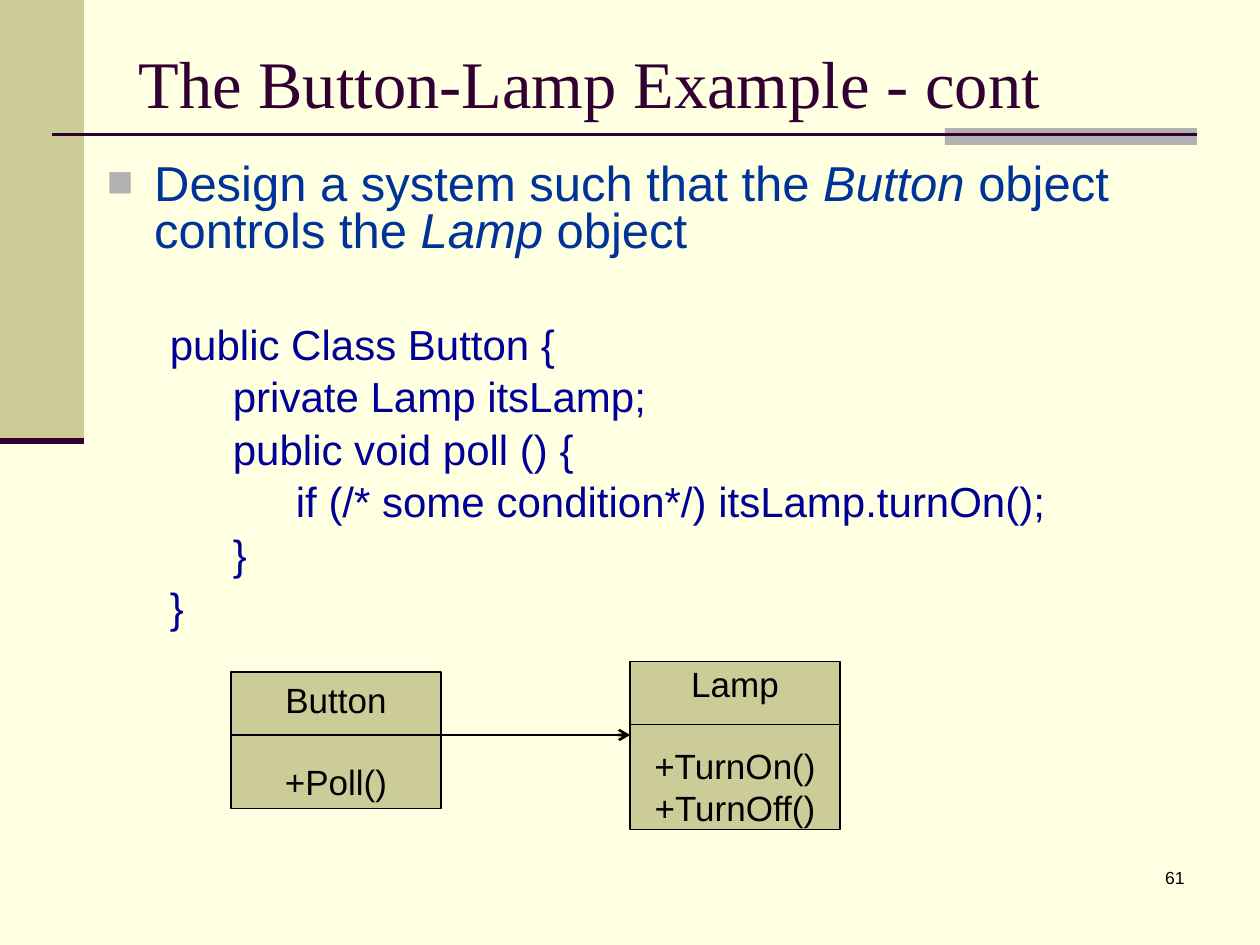
from lxml.etree import SubElement
from pptx import Presentation
from pptx.dml.color import RGBColor
from pptx.enum.shapes import MSO_CONNECTOR as Connector, MSO_SHAPE as Shape
from pptx.enum.text import MSO_ANCHOR as Anchor, PP_ALIGN as Align
from pptx.oxml.ns import qn
from pptx.util import Pt

CREAM = RGBColor(0xFF, 0xFF, 0xE1)
KHAKI = RGBColor(0xCC, 0xCC, 0x99)
GRAY = RGBColor(0xB2, 0xB2, 0xB2)
PLUM = RGBColor(0x33, 0x00, 0x33)
BLUE = RGBColor(0x00, 0x33, 0x99)
NAVY = RGBColor(0x00, 0x00, 0x99)
BLACK = RGBColor(0x00, 0x00, 0x00)

CODE = [
    (0, "public Class Button {"),
    (1, "private Lamp itsLamp;"),
    (1, "public void poll () {"),
    (2, "if (/* some condition*/) itsLamp.turnOn();"),
    (1, "}"),
    (0, "}"),
]
CODE_LEFT = 36
CODE_STEP = 36
CLASS_WIDTH = 120
ARROW_Y = 420


def write(para, text, size=20, color=BLACK, font="Arial", italic=False,
          align=Align.LEFT, before=0, spacing=1.0):
    para.alignment = align
    para.space_before = Pt(before)
    para.line_spacing = spacing
    span = para.add_run()
    span.text = text
    span.font.name = font
    span.font.size = Pt(size)
    span.font.italic = italic
    span.font.color.rgb = color


def indent(para, left, hanging=0):
    properties = para._p.get_or_add_pPr()
    properties.set("marL", str(Pt(left)))
    properties.set("indent", str(Pt(-hanging)))
    return properties


def add_bullet(para):
    properties = indent(para, 27, 27)
    color = SubElement(properties, qn("a:buClr"))
    SubElement(color, qn("a:srgbClr"), val=str(GRAY))
    SubElement(properties, qn("a:buSzPct"), val="90000")
    SubElement(properties, qn("a:buFont"), typeface="Arial")
    SubElement(properties, qn("a:buChar"), char="■")


def add_rectangle(page, left, top, width, height, fill, outline=None):
    box = page.shapes.add_shape(Shape.RECTANGLE, Pt(left), Pt(top), Pt(width), Pt(height))
    box.shadow.inherit = False
    box.fill.solid()
    box.fill.fore_color.rgb = fill
    if outline is None:
        box.line.fill.background()
    else:
        box.line.color.rgb = outline
        box.line.width = Pt(0.75)
    return box


def add_line(page, left, right, y, color=BLACK, width=0.75, arrow=False):
    line = page.shapes.add_connector(Connector.STRAIGHT, Pt(left), Pt(y), Pt(right), Pt(y))
    line.line.color.rgb = color
    line.line.width = Pt(width)
    if arrow:
        SubElement(line.line._get_or_add_ln(), qn("a:tailEnd"), type="arrow")
    SubElement(line._element.spPr, qn("a:effectLst"))


def add_text_box(page, left, top, width, height):
    box = page.shapes.add_textbox(Pt(left), Pt(top), Pt(width), Pt(height))
    box.text_frame.word_wrap = True
    return box.text_frame


def add_title(page, text):
    title = page.shapes.title
    title.left, title.top, title.width, title.height = Pt(72), Pt(21.6), Pt(612), Pt(50.4)
    title.text_frame.vertical_anchor = Anchor.MIDDLE
    write(title.text_frame.paragraphs[0], text, size=38, color=PLUM, font="Times New Roman")


def add_body(page):
    frame = add_text_box(page, 54, 90, 630, 270)
    para = frame.paragraphs[0]
    add_bullet(para)
    parts = ["Design a system such that the ", "Button", " object controls the ", "Lamp", " object"]
    for index, text in enumerate(parts):
        write(para, text, size=28, color=BLUE, italic=index % 2 == 1, spacing=0.8)
    for index, (level, text) in enumerate(CODE):
        para = frame.add_paragraph()
        indent(para, CODE_LEFT + level * CODE_STEP)
        write(para, text, size=24, color=NAVY, before=7 if index else 40, spacing=0.8)


def add_class(page, left, top, height, name, methods):
    box = add_rectangle(page, left, top, CLASS_WIDTH, height, KHAKI, BLACK)
    frame = box.text_frame
    frame.word_wrap = False
    frame.vertical_anchor = Anchor.MIDDLE
    write(frame.paragraphs[0], name, align=Align.CENTER)
    for index, method in enumerate(methods):
        write(frame.add_paragraph(), method, align=Align.CENTER, before=0 if index else 23)
    add_line(page, left, left + CLASS_WIDTH, top + 36)


def main():
    deck = Presentation()
    deck.slide_width, deck.slide_height = Pt(720), Pt(540)
    page = deck.slides.add_slide(deck.slide_layouts[5])
    page.background.fill.solid()
    page.background.fill.fore_color.rgb = CREAM

    add_rectangle(page, 0, 0, 48, 252, KHAKI)
    add_rectangle(page, 540, 73.2, 144, 9.6, GRAY)
    add_line(page, 30, 684, 77, PLUM, 1.5)
    add_line(page, 0, 48, 252, PLUM, 3.5)

    add_title(page, "The Button-Lamp Example - cont")
    add_body(page)

    add_class(page, 132, 384, 78, "Button", ["+Poll()"])
    add_class(page, 360, 378, 96, "Lamp", ["+TurnOn()", "+TurnOff()"])
    add_line(page, 132 + CLASS_WIDTH, 360, ARROW_Y, width=1.5, arrow=True)

    number = add_text_box(page, 534, 492, 150, 36)
    write(number.paragraphs[0], "61", size=10, align=Align.RIGHT)
    deck.save("out.pptx")


if __name__ == "__main__":
    main()
